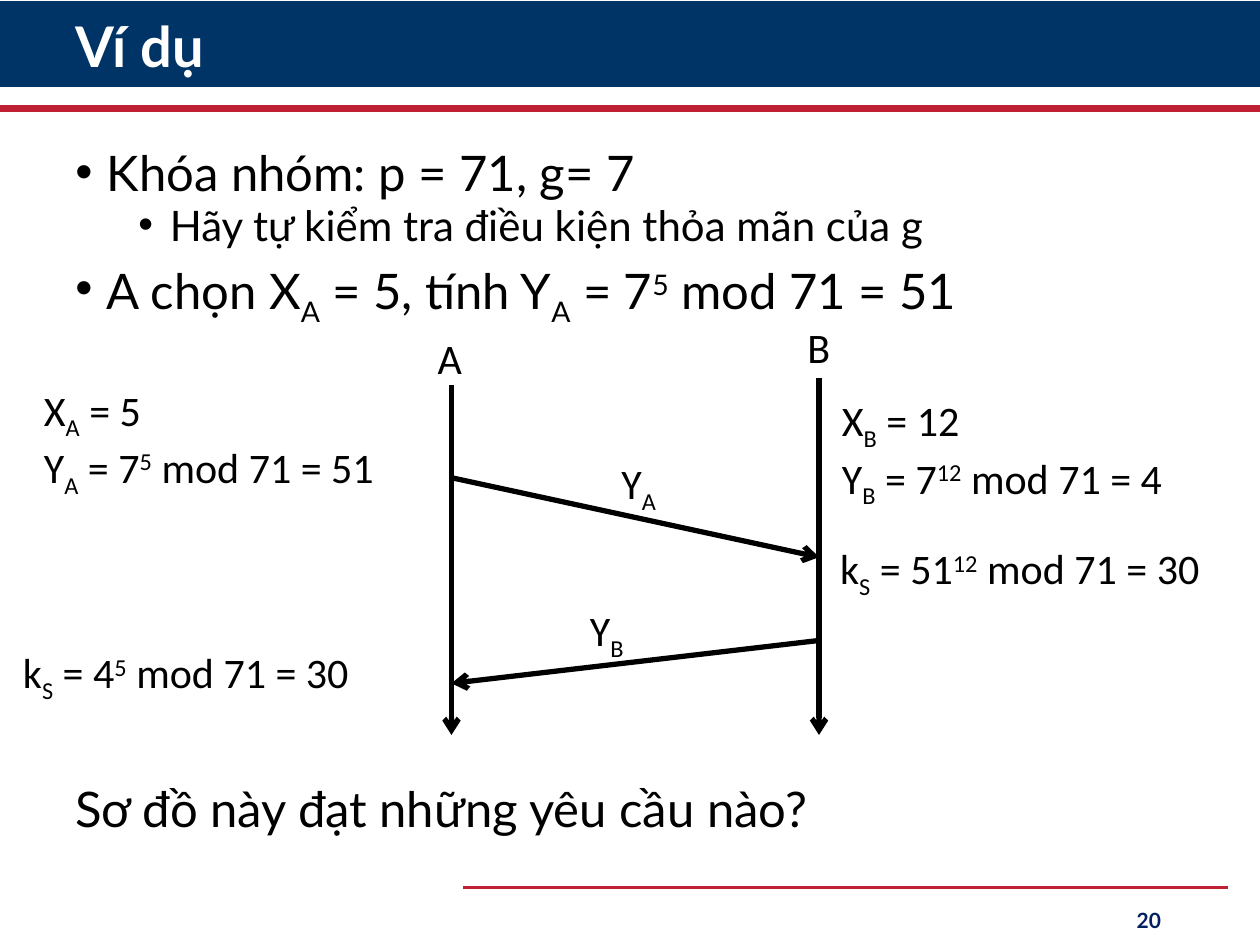
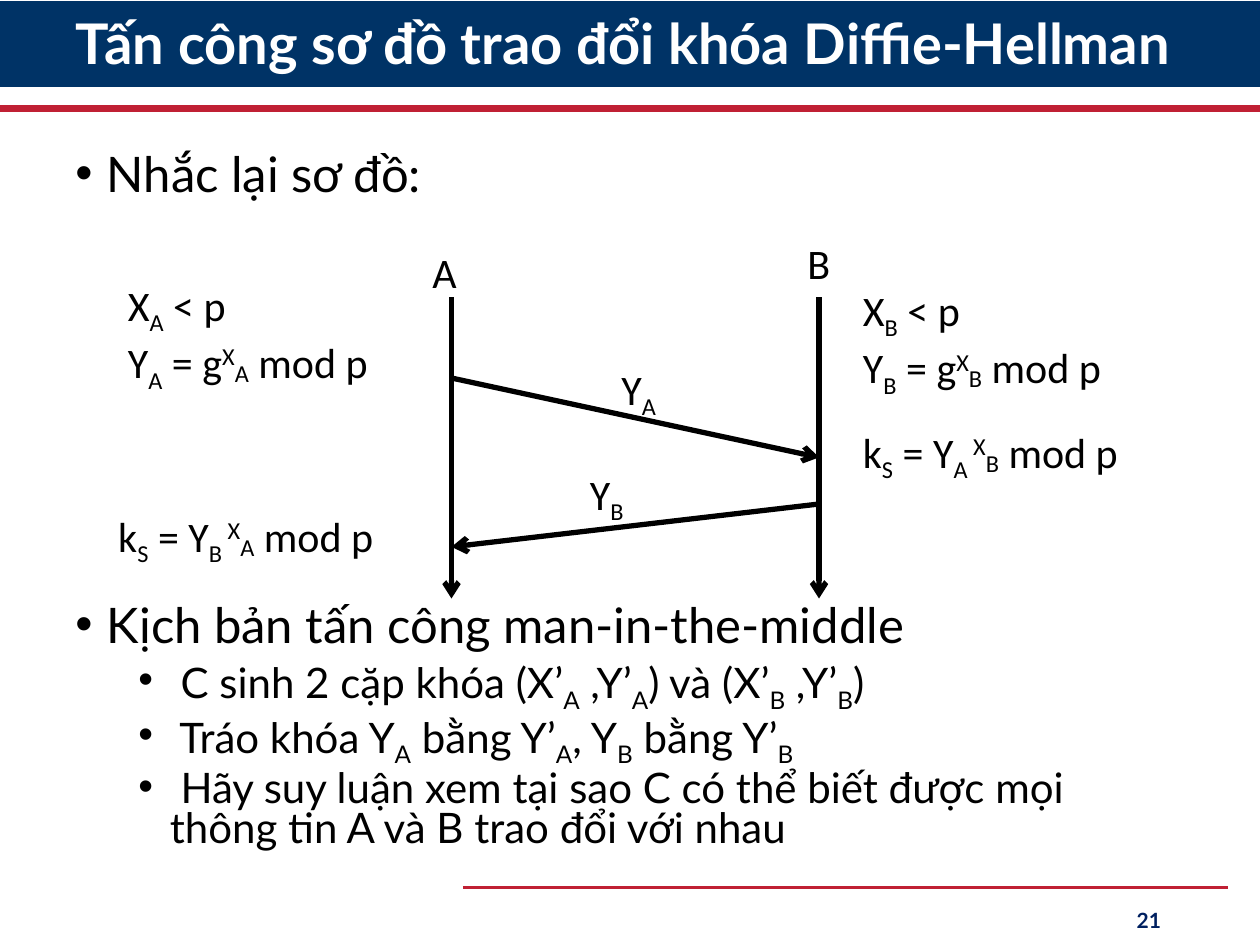
from dataclasses import dataclass

from lxml import etree
from pptx import Presentation
from pptx.dml.color import RGBColor as RGB
from pptx.enum.shapes import MSO_CONNECTOR as CONN, MSO_SHAPE as SHAPE
from pptx.enum.text import MSO_ANCHOR as ANCHOR, PP_ALIGN as ALIGN
from pptx.oxml.ns import qn
from pptx.util import Pt


@dataclass(frozen=True)
class Theme:
    navy: RGB = RGB(0x00, 0x33, 0x66)
    red: RGB = RGB(0xC0, 0x20, 0x34)
    black: RGB = RGB(0, 0, 0)
    white: RGB = RGB(255, 255, 255)
    number: RGB = RGB(0x00, 0x20, 0x60)
    main_font: str = "Lato"
    label_font: str = "Calibri"
    title_size: int = 32
    body_sizes: tuple = (28, 24)
    label_size: int = 24
    number_size: int = 12


T = Theme()
SLIDE_W, SLIDE_H = 720, 540

# In marked text, "|" parts the runs; the first character of a run may shift it
SHIFTS = {"_": "-25000", "^": "30000", "~": "-10000"}


def add_runs(p, marked, size, color, font=T.main_font, bold=False):
    for part in marked.split("|"):
        shift = SHIFTS.get(part[0])
        r = p.add_run()
        r.text = part[1:] if shift else part
        f = r.font
        f.size, f.name, f.bold = Pt(size), font, bold
        f.color.rgb = color
        if shift:
            r._r.get_or_add_rPr().set("baseline", shift)


def add_box(slide, box, anchor=ANCHOR.TOP):
    tf = slide.shapes.add_textbox(*map(Pt, box)).text_frame
    tf.word_wrap = True
    tf.vertical_anchor = anchor
    return tf


def add_line(slide, start, end, color, width, arrow=False):
    c = slide.shapes.add_connector(CONN.STRAIGHT, *map(Pt, start + end))
    c.line.color.rgb = color
    c.line.width = Pt(width)
    if arrow:
        etree.SubElement(c.line._get_or_add_ln(), qn("a:tailEnd"), type="arrow")
    etree.SubElement(c._element.spPr, qn("a:effectLst"))


def add_frame(slide, title, title_box, number):
    # Title band and rules
    sp = slide.shapes.add_shape(SHAPE.RECTANGLE, 0, Pt(0.7), Pt(SLIDE_W), Pt(49))
    sp.shadow.inherit = False
    sp.fill.solid()
    sp.fill.fore_color.rgb = T.navy
    sp.line.fill.background()
    add_line(slide, (0, 62), (SLIDE_W, 62), T.red, 3.5)
    add_line(slide, (264.5, 507), (701.5, 507), T.red, 1.5)

    # Title
    p = add_box(slide, title_box, ANCHOR.MIDDLE).paragraphs[0]
    p.line_spacing = 0.9
    add_runs(p, title, T.title_size, T.white, bold=True)

    # Slide number
    p = add_box(slide, (508.5, 511, 162, 29), ANCHOR.MIDDLE).paragraphs[0]
    p.alignment = ALIGN.RIGHT
    add_runs(p, str(number), T.number_size, T.number, bold=True)


def add_body(slide, box, items):
    """Each item is (level, text, space before); level None has no bullet."""
    tf = add_box(slide, box)
    for i, (level, marked, before) in enumerate(items):
        p = tf.add_paragraph() if i else tf.paragraphs[0]
        p.level = level or 0
        p.line_spacing = 0.8
        p.space_before = Pt(before)
        if level is not None:
            pPr = p._p.get_or_add_pPr()
            pPr.set("marL", str(Pt(18 + 36 * level)))
            pPr.set("indent", str(Pt(-18)))
            etree.SubElement(pPr, qn("a:buFont"), typeface="Arial")
            etree.SubElement(pPr, qn("a:buChar"), char="•")
        add_runs(p, marked, T.body_sizes[level or 0], T.black)


def add_exchange(slide, box, a_drop, messages, labels):
    """Lanes of A and B at the sides of the box; messages and labels inside it."""
    left, top, width, height = box
    right, bottom = left + width, top + height

    # Time lanes
    ya, yb = (top + y for y in messages)
    arrows = [
        ((left, top + a_drop), (left, bottom)),
        ((right, top), (right, bottom)),
        ((left, ya), (right, ya + 45.4)),
        ((right, yb), (left, yb + 24.5)),
    ]
    for start, end in arrows:
        add_line(slide, start, end, T.black, 3, arrow=True)

    # Labels
    for dx, dy, w, *lines in labels:
        h = 7.2 + 29 * len(lines)
        tf = add_box(slide, (left + dx, top + dy, w, h))
        for i, marked in enumerate(lines):
            p = tf.add_paragraph() if i else tf.paragraphs[0]
            add_runs(p, marked, T.label_size, T.black, T.label_font)


def example_slide(slide):
    add_frame(slide, "Ví dụ", (36, 6, 634, 44), 20)
    add_body(slide, (36, 84.2, 648, 426), [
        (0, "Khóa nhóm: p = 71, g= 7", 10),
        (1, "Hãy tự kiểm tra điều kiện thỏa mãn của g", 5),
        (0, "A chọn X|_A| = 5, tính Y|_A| = 7|^5| mod 71 = 51", 10),
        (None, "Sơ đồ này đạt những yêu cầu nào?", 268),
    ])
    add_exchange(slide, (258, 216, 210, 204), 4.3, (57, 150), [
        (90, 42, 48, "Y|_A"),
        (72, 126, 48, "Y|_B"),
        (-15, -29.5, 63, "A"),
        (196.3, -36, 63, "B"),
        (-240, 0, 240, "X|_A| = 5", "Y|_A| = 7|^5| mod 71 = 51"),
        (216, 6, 240, "X|_B| = 12", "Y|_B| = 7|^12| mod 71 = 4"),
        (215, 90.7, 240, "k|_S| = 51|^12| mod 71 = 30"),
        (-252, 150, 240, "k|_S| = 4|^5| mod 71 = 30"),
    ])


def attack_slide(slide):
    add_frame(slide, "Tấn công sơ đồ trao đổi khóa Diffie-Hellman",
              (36, 0, 648, 53), 21)
    add_body(slide, (36, 85, 634, 401), [
        (0, "Nhắc lại sơ đồ:", 10),
        (0, "Kịch bản tấn công man-in-the-middle", 231),
        (1, " C sinh 2 cặp khóa (X’|_A| ,Y’|_A|) và (X’|_B| ,Y’|_B|)", 5),
        (1, " Tráo khóa Y|_A| bằng Y’|_A|, Y|_B| bằng Y’|_B", 5),
        (1, " Hãy suy luận xem tại sao C có thể biết được mọi "
            "thông tin A và B trao đổi với nhau", 5),
    ])
    add_exchange(slide, (258, 170, 210, 172), 0, (46, 118), [
        (90, 34, 48, "Y|_A"),
        (72, 94, 48, "Y|_B"),
        (-18, -32.5, 63, "A"),
        (196.3, -38, 63, "B"),
        (-192, -14, 192, "X|_A| < p", "Y|_A| = g|^X|~A| mod p"),
        (228, -11, 192, "X|_B| < p", "Y|_B| = g|^X|~B| mod p"),
        (228, 70, 210, "k|_S| = Y|_A |^X|~B| mod p"),
        (-197.5, 118, 210, "k|_S| = Y|_B |^X|~A| mod p"),
    ])


def main():
    prs = Presentation()
    prs.slide_width, prs.slide_height = Pt(SLIDE_W), Pt(SLIDE_H)
    for build in (example_slide, attack_slide):
        build(prs.slides.add_slide(prs.slide_layouts[6]))
    prs.save("out.pptx")


if __name__ == "__main__":
    main()
